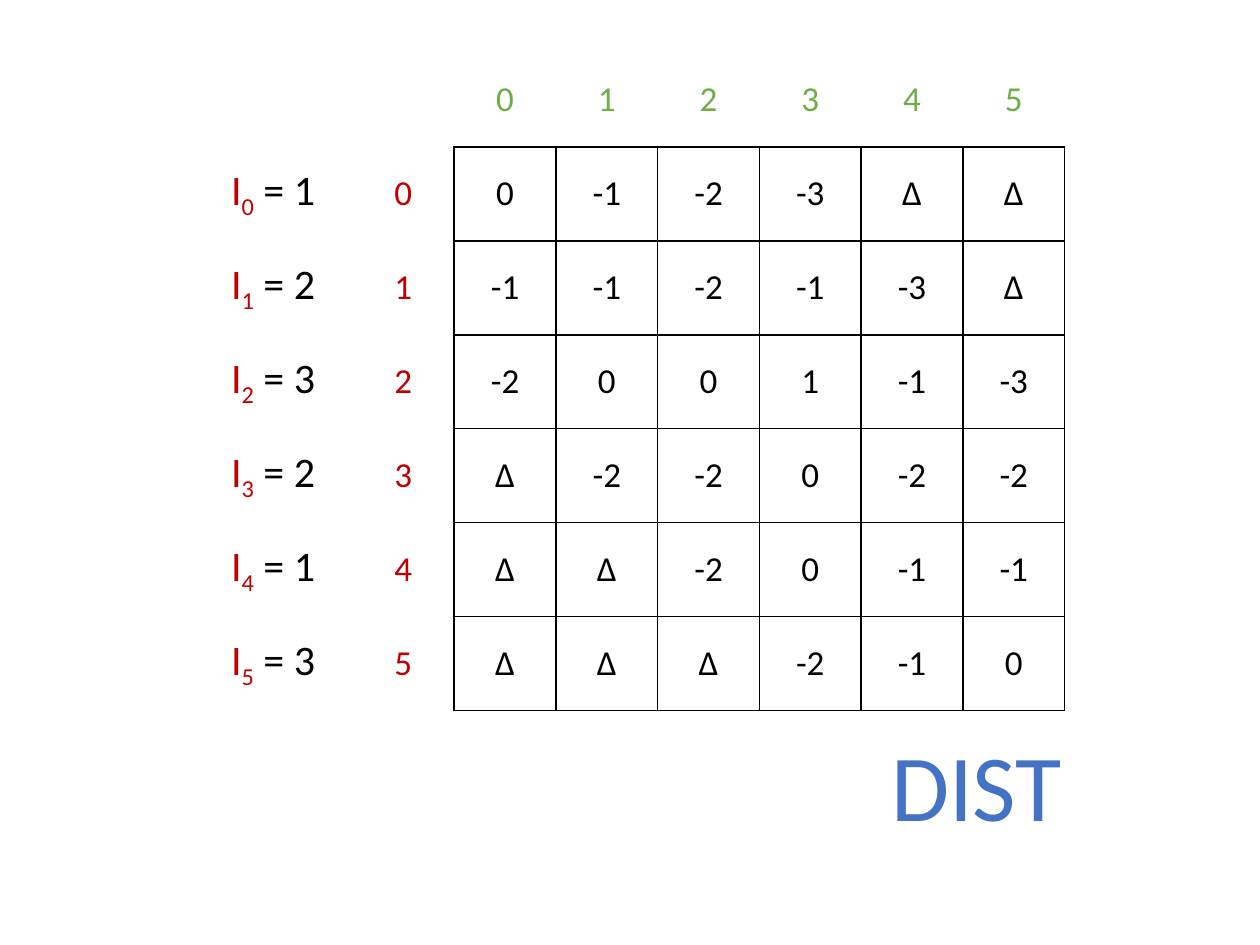
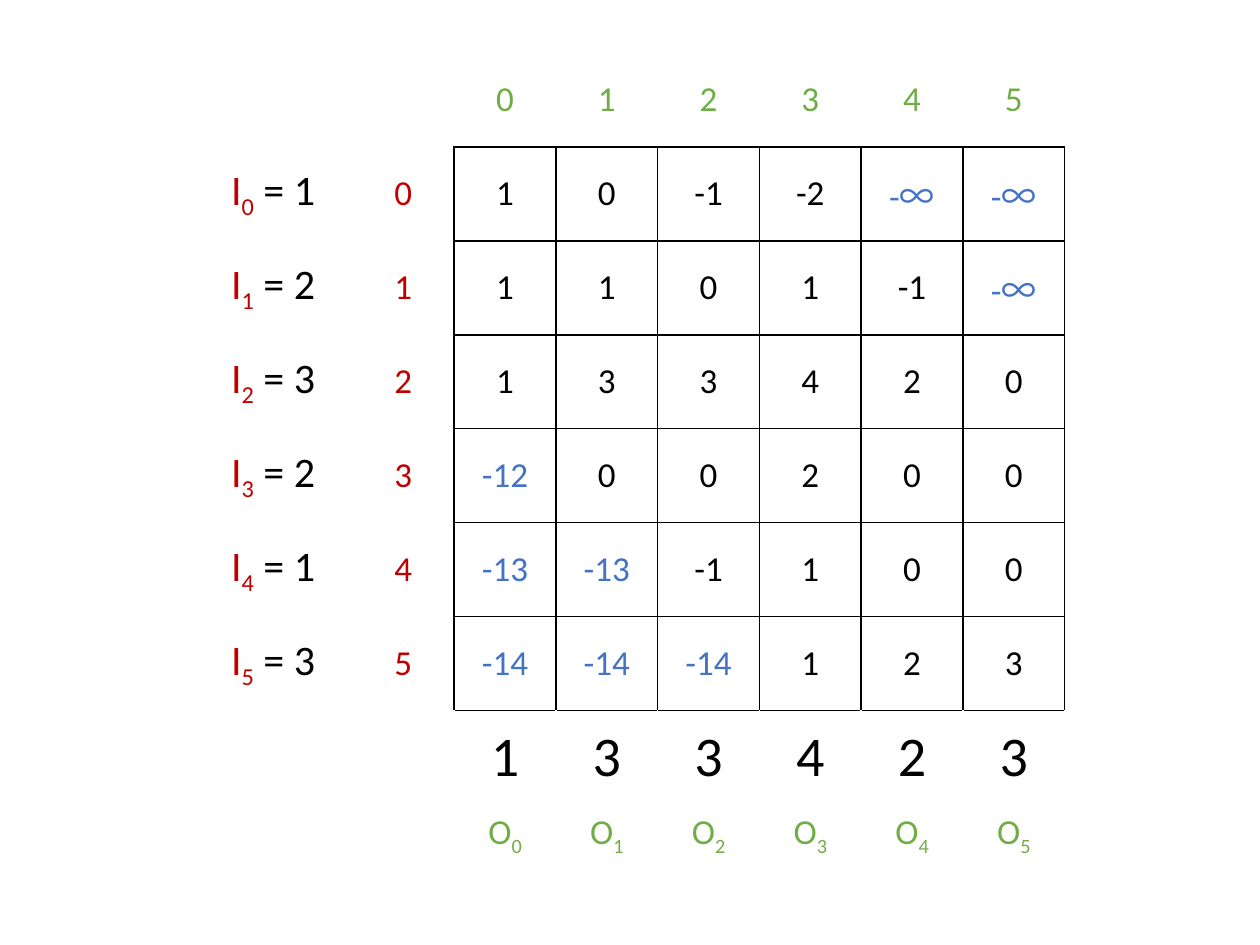
"""Build two slides that show a distance matrix and the scores computed from it."""
import pptx
import pptx.util
import pptx.dml.color
import pptx.enum.text
import pptx.oxml
import pptx.oxml.ns

COLORS = {"ink": "000000", "paper": "FFFFFF", "row": "C00000",
          "column": "70AD47", "accent": "4472C4"}
FONT = "Calibri"
SYMBOL_FONT = "Noto Sans CJK TC"
PLAIN_STYLE = "{2D5ABB26-0587-4C30-8999-92F81FD0307C}"

INPUTS = [1, 2, 3, 2, 1, 3]
DISTANCES = ["0 -1 -2 -3 ∆ ∆", "-1 -1 -2 -1 -3 ∆", "-2 0 0 1 -1 -3",
             "∆ -2 -2 0 -2 -2", "∆ ∆ -2 0 -1 -1", "∆ ∆ ∆ -2 -1 0"]
SCORES = ["1 0 -1 -2 -∞ -∞", "1 1 0 1 -1 -∞", "1 3 3 4 2 0",
          "-12 0 0 2 0 0", "-13 -13 -1 1 0 0", "-14 -14 -14 1 2 3"]
OUTPUTS = [1, 3, 3, 4, 2, 3]
MASKED = {"-∞", "-12", "-13", "-14"}

SIDES = {"left": "lnL", "right": "lnR", "top": "lnT", "bottom": "lnB"}
BORDERS = {
    "blank": {},
    "corner": dict(top="paper", right="paper", bottom="paper"),
    "header": dict(left="paper", top="paper", right="paper", bottom="ink"),
    "label": dict(top="paper", right="ink", bottom="paper"),
    "value": dict(left="ink", top="ink", right="ink", bottom="ink"),
    "margin": dict(top="paper", right="paper"),
    "output": dict(left="paper", top="ink", right="paper"),
}

WIDTH, HEIGHT = 10, 7.5
TABLE_LEFT, TABLE_TOP, TABLE_WIDTH = 0.37, 0.42, 8.08
SPACER, INPUT_WIDTH = 0.36, 1.26
COLUMN = (TABLE_WIDTH - SPACER - INPUT_WIDTH) / 8
WIDTHS = [COLUMN, SPACER, INPUT_WIDTH] + [COLUMN] * 7
ROW = 5.22 / 7
INPUT_COLUMN, LABEL_COLUMN, FIRST_VALUE = 2, 3, 4


def inches(*lengths):
    return [pptx.util.Inches(length) for length in lengths]


def write(para, text, size=20, color="ink", font=FONT, lowered=False):
    """Add one span of text to a centred paragraph."""
    para.alignment = pptx.enum.text.PP_ALIGN.CENTER
    span = para.add_run()
    span.text = text
    span.font.size = pptx.util.Pt(size)
    span.font.name = font
    span.font.color.rgb = pptx.dml.color.RGBColor.from_string(COLORS[color])
    properties = span.font._element
    if lowered:
        properties.set("baseline", "-25000")
    if font == SYMBOL_FONT:
        east_asian = properties.makeelement(pptx.oxml.ns.qn("a:ea"), {"typeface": font})
        properties.find(pptx.oxml.ns.qn("a:latin")).addnext(east_asian)


def draw_borders(cell, kind):
    """Give a cell the lines of its kind and no fill."""
    properties = cell._tc.get_or_add_tcPr()
    for side, tag in SIDES.items():
        color = BORDERS[kind].get(side)
        paint = (f'<a:solidFill><a:srgbClr val="{COLORS[color]}"/></a:solidFill>'
                 if color else "<a:noFill/>")
        properties.append(pptx.oxml.parse_xml(
            f'<a:{tag} {pptx.oxml.ns.nsdecls("a")} w="12700">{paint}</a:{tag}>'))
    cell.fill.background()


def add_grid(slide, row_count):
    """Add an unstyled table with the shared column and row sizes."""
    frame = slide.shapes.add_table(row_count, len(WIDTHS), *inches(
        TABLE_LEFT, TABLE_TOP, TABLE_WIDTH, ROW * row_count))
    grid = frame.table
    grid.first_row = grid.horz_banding = False
    grid._tbl.tblPr.find(pptx.oxml.ns.qn("a:tableStyleId")).text = PLAIN_STYLE
    for column, width in zip(grid.columns, WIDTHS):
        column.width = pptx.util.Inches(width)
    for row in grid.rows:
        row.height = pptx.util.Inches(ROW)
    return grid


def cell_kind(row, column):
    """Name the role of a cell from its place in the table."""
    last_value_row = len(INPUTS)
    if column < LABEL_COLUMN or row > last_value_row + 1:
        return "blank"
    left, right = (("corner", "header") if row == 0 else
                   ("label", "value") if row <= last_value_row else
                   ("margin", "output"))
    return left if column == LABEL_COLUMN else right


def add_matrix(slide, values, outputs=()):
    """Fill the matrix with its headers, inputs, values and optional outputs."""
    row_count = 1 + len(values) + (2 if outputs else 0)
    grid = add_grid(slide, row_count)
    for row in range(row_count):
        for column in range(len(WIDTHS)):
            cell = grid.cell(row, column)
            cell.vertical_anchor = pptx.enum.text.MSO_ANCHOR.MIDDLE
            draw_borders(cell, cell_kind(row, column))

    def para_at(row, column):
        return grid.cell(row, column).text_frame.paragraphs[0]

    for index, (number, line) in enumerate(zip(INPUTS, values)):
        row = index + 1
        write(para_at(0, FIRST_VALUE + index), str(index), color="column")
        write(para_at(row, LABEL_COLUMN), str(index), color="row")
        formula = para_at(row, INPUT_COLUMN)
        write(formula, "I", size=24, color="row")
        write(formula, str(index), size=24, color="row", lowered=True)
        write(formula, f" = {number}", size=24)
        for column, value in enumerate(line.split(), FIRST_VALUE):
            color = "accent" if value in MASKED else "ink"
            if value == "-∞":
                write(para_at(row, column), "-", color=color)
                write(para_at(row, column), "∞", color=color, font=SYMBOL_FONT)
            else:
                write(para_at(row, column), value, color=color)

    for index, number in enumerate(outputs):
        column = FIRST_VALUE + index
        write(para_at(row_count - 2, column), str(number), size=32)
        name = para_at(row_count - 1, column)
        write(name, "O", color="column")
        write(name, str(index), color="column", lowered=True)
        grid.cell(row_count - 1, column).vertical_anchor = pptx.enum.text.MSO_ANCHOR.TOP


def add_caption(slide, text):
    """Name the matrix below its lower right corner."""
    box = slide.shapes.add_textbox(*inches(6.89, 5.72, 1.72, 1.1))
    box.text_frame.word_wrap = False
    box.text_frame.auto_size = pptx.enum.text.MSO_AUTO_SIZE.SHAPE_TO_FIT_TEXT
    write(box.text_frame.paragraphs[0], text, size=54, color="accent")


def main():
    deck = pptx.Presentation()
    deck.slide_width, deck.slide_height = inches(WIDTH, HEIGHT)
    blank = deck.slide_layouts.get_by_name("Blank")
    distance_slide = deck.slides.add_slide(blank)
    add_matrix(distance_slide, DISTANCES)
    add_caption(distance_slide, "DIST")
    add_matrix(deck.slides.add_slide(blank), SCORES, OUTPUTS)
    deck.save("out.pptx")


if __name__ == "__main__":
    main()
